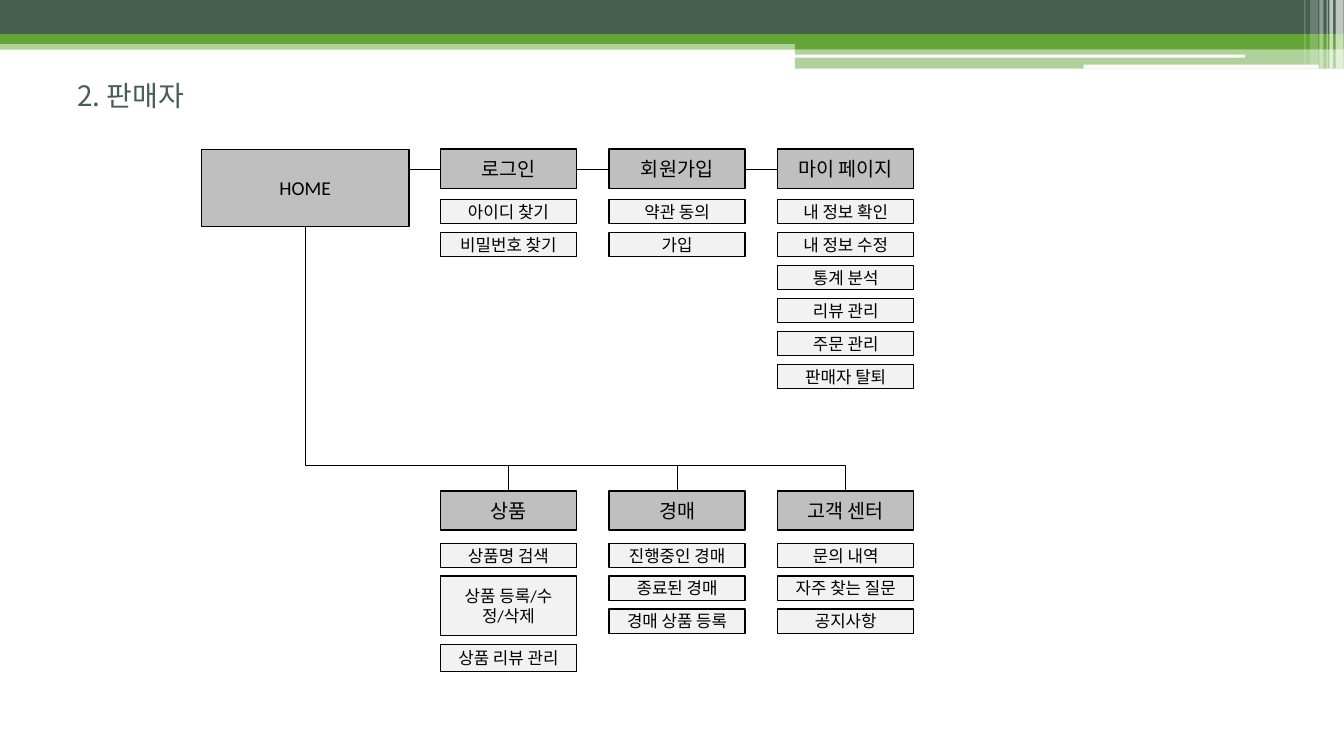
from lxml.etree import SubElement
from pptx import Presentation
from pptx.dml.color import RGBColor
from pptx.enum.shapes import MSO_CONNECTOR as CONN, MSO_SHAPE as SHAPE
from pptx.enum.text import MSO_ANCHOR as ANCHOR, PP_ALIGN as ALIGN
from pptx.oxml.ns import qn
from pptx.util import Cm, Pt

TITLE = "2. 판매자"
TOP_MENUS = [
    ("로그인", ["아이디 찾기", "비밀번호 찾기"]),
    ("회원가입", ["약관 동의", "가입"]),
    ("마이 페이지", ["내 정보 확인", "내 정보 수정", "통계 분석",
                "리뷰 관리", "주문 관리", "판매자 탈퇴"]),
]
BOTTOM_MENUS = [
    ("상품", ["상품명 검색", "상품 등록/수정/삭제", "상품 리뷰 관리"]),
    ("경매", ["진행중인 경매", "종료된 경매", "경매 상품 등록"]),
    ("고객 센터", ["문의 내역", "자주 찾는 질문", "공지사항"]),
]
TALL_ITEMS = {"상품 등록/수정/삭제": 1.5, "상품 리뷰 관리": 0.69}

LATIN, HANGUL = "Calibri", "Noto Sans CJK KR"
DARK, GREEN, WHITE, BLACK = "455F51", "63A537", "FFFFFF", "000000"
HEAD_FILL, ITEM_FILL = "BFBFBF", "F2F2F2"

SLIDE_W, SLIDE_H = 33.87, 19.05
BANDS = [
    (0, 1.02, SLIDE_W, 0.23, GREEN, 50),
    (0, 0, SLIDE_W, 0.86, DARK, 100),
    (0, 0.86, SLIDE_W, 0.25, GREEN, 100),
    (20.03, 0.99, 13.84, 0.25, GREEN, 100),
    (20.03, 1.23, 13.84, 0.5, GREEN, 50),
]
WHITE_BARS = [(20.02, 1.38, 11.35, 0.07), (27.31, 1.63, 5.92, 0.1)]
STRIPES = [
    (33.66, 0.2, 1.73, 65), (33.5, 0.1, 1.73, 65), (33.43, 0.03, 1.73, 60),
    (33.25, 0.1, 1.73, 40), (33.02, 0.2, 1.63, 20), (32.87, 0.03, 1.63, 30),
]

HOME_X, HOME_Y, HOME_W, HOME_H = 5.08, 3.77, 5.23, 1.94
COL_X, COL_PITCH, BOX_W = 11.1, 4.25, 3.43
HEAD_H, ITEM_H, ITEM_GAP = 0.99, 0.61, 0.22
TOP_Y, BOTTOM_Y, BUS_Y = 3.76, 12.37, 11.72
TOP_ITEMS_Y, BOTTOM_ITEMS_Y = 5.03, 13.69

prs = Presentation()
prs.slide_width, prs.slide_height = Cm(SLIDE_W), Cm(SLIDE_H)
s = prs.slides.add_slide(prs.slide_layouts[6])


def color(target, value):
    target.rgb = RGBColor.from_string(value)


def add_run(tf, text, size, font, value):
    tf.word_wrap = True
    tf.vertical_anchor = ANCHOR.MIDDLE
    r = tf.paragraphs[0].add_run()
    r.text = text
    r.font.size = Pt(size)
    r.font.name = font
    color(r.font.color, value)
    SubElement(r.font._element, qn("a:ea"), typeface=HANGUL)


def add_block(x, y, w, h, fill, alpha=100, kind=SHAPE.RECTANGLE):
    sp = s.shapes.add_shape(kind, Cm(x), Cm(y), Cm(w), Cm(h))
    sp.shadow.inherit = False
    sp.fill.solid()
    color(sp.fill.fore_color, fill)
    sp.line.fill.background()
    if alpha < 100:
        clr = sp.fill._xPr.find(qn("a:solidFill"))[0]
        SubElement(clr, qn("a:alpha"), val=str(alpha * 1000))
    return sp


def add_box(x, y, w, h, text, fill, size):
    sp = add_block(x, y, w, h, fill)
    sp.line.width = Pt(1)
    color(sp.line.color, BLACK)
    add_run(sp.text_frame, text, size, LATIN, BLACK)
    sp.text_frame.paragraphs[0].alignment = ALIGN.CENTER


def add_line(x1, y1, x2, y2, kind=CONN.STRAIGHT):
    ln = s.shapes.add_connector(kind, Cm(x1), Cm(y1), Cm(x2), Cm(y2))
    ln.line.width = Pt(0.5)
    color(ln.line.color, BLACK)
    SubElement(ln._element.spPr, qn("a:effectLst"))
    return ln


def add_trunk(x1, y1, x2, y2, turn_y):
    cx, cy = (x1 + x2) / 2, (y1 + y2) / 2
    half_w, half_h = (y2 - y1) / 2, (x2 - x1) / 2
    ln = add_line(cx + half_w, cy - half_h, cx - half_w, cy + half_h, CONN.ELBOW)
    sp_pr = ln._element.spPr
    sp_pr.find(qn("a:xfrm")).set("rot", str(270 * 60000))
    guides = sp_pr.find(qn("a:prstGeom")).find(qn("a:avLst"))
    ratio = round((turn_y - y1) / (y2 - y1) * 100000)
    SubElement(guides, qn("a:gd"), name="adj1", fmla=f"val {ratio}")


def add_menus(menus, head_y, items_y):
    for i, (head, items) in enumerate(menus):
        x, y = COL_X + i * COL_PITCH, items_y
        add_box(x, head_y, BOX_W, HEAD_H, head, HEAD_FILL, 14)
        for item in items:
            h = TALL_ITEMS.get(item, ITEM_H)
            add_box(x, y, BOX_W, h, item, ITEM_FILL, 12)
            y += h + ITEM_GAP


for band in BANDS:
    add_block(*band)
for bar in WHITE_BARS:
    add_block(*bar, WHITE, kind=SHAPE.ROUNDED_RECTANGLE)
for x, w, h, alpha in STRIPES:
    add_block(x, 0, w, h, WHITE, alpha)

tb = s.shapes.add_textbox(Cm(1.7), Cm(1.83), Cm(30.48), Cm(1.12))
add_run(tb.text_frame, TITLE, 20, HANGUL, DARK)

add_box(HOME_X, HOME_Y, HOME_W, HOME_H, "HOME", HEAD_FILL, 14)

link_y = TOP_Y + HEAD_H / 2
link_start = HOME_X + HOME_W
for i in range(len(TOP_MENUS)):
    x = COL_X + i * COL_PITCH
    add_line(link_start, link_y, x, link_y)
    link_start = x + BOX_W

centers = [COL_X + i * COL_PITCH + BOX_W / 2 for i in range(len(BOTTOM_MENUS))]
add_trunk(HOME_X + HOME_W / 2, HOME_Y + HOME_H, centers[-1], BOTTOM_Y, BUS_Y)
for x in centers[:-1]:
    add_line(x, BUS_Y, x, BOTTOM_Y)

add_menus(TOP_MENUS, TOP_Y, TOP_ITEMS_Y)
add_menus(BOTTOM_MENUS, BOTTOM_Y, BOTTOM_ITEMS_Y)

prs.save("out.pptx")
